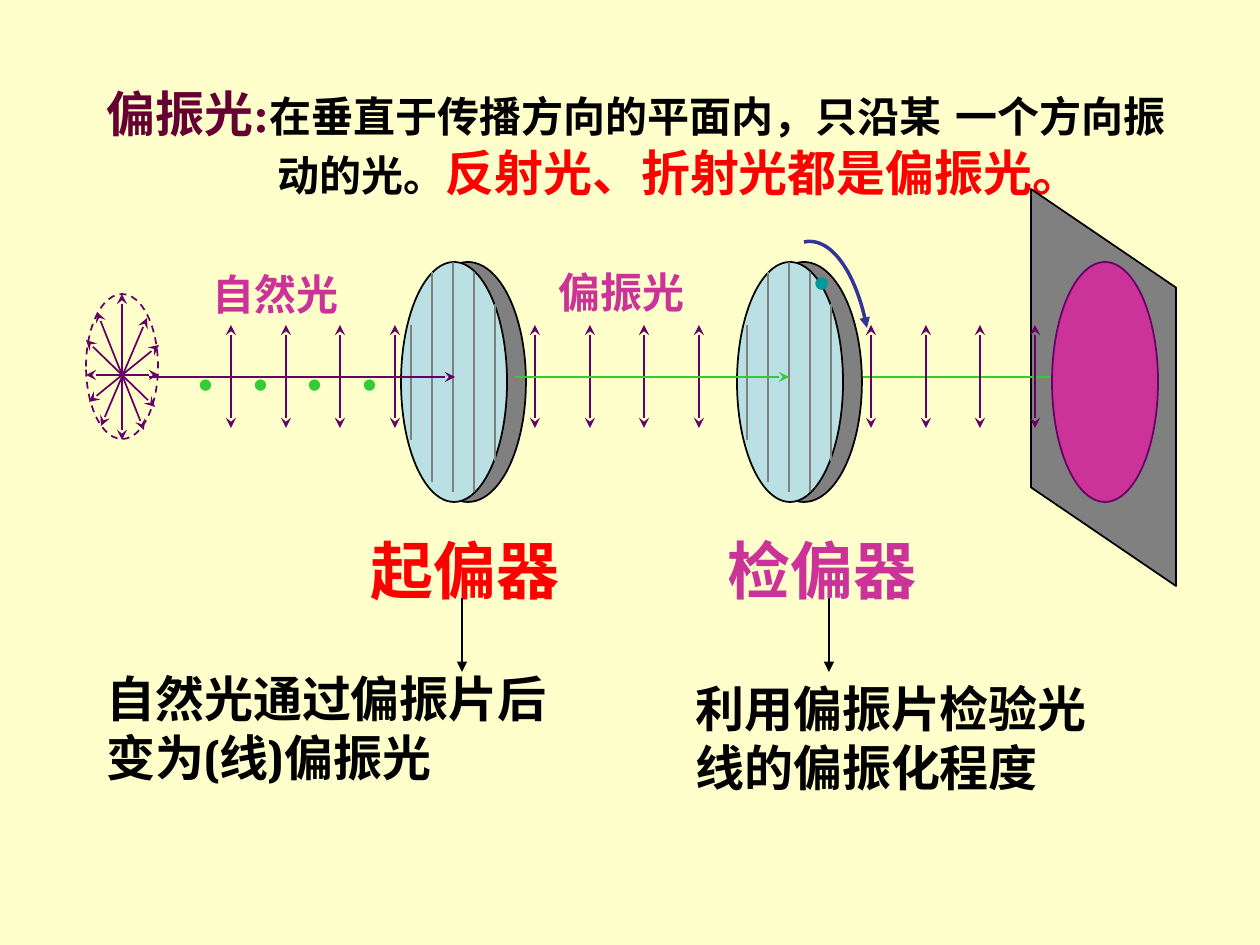
from pptx import Presentation
from pptx.dml.color import RGBColor
from pptx.enum.dml import MSO_LINE
from pptx.enum.shapes import MSO_CONNECTOR, MSO_SHAPE
from pptx.enum.text import MSO_AUTO_SIZE
from pptx.oxml.ns import qn
from pptx.util import Emu, Pt
from lxml import etree

SCALE = 914400 / 126
ELLIPSE, PARALLELOGRAM = MSO_SHAPE.OVAL, MSO_SHAPE.PARALLELOGRAM
STRAIGHT, DASH = MSO_CONNECTOR.STRAIGHT, MSO_LINE.DASH
GROW = MSO_AUTO_SIZE.SHAPE_TO_FIT_TEXT
SANS, SERIF, ROMAN = "Noto Sans CJK SC", "TeX Gyre Bonum", "Times New Roman"
COLORS = {
    "paper": "FFFFCC", "black": "000000", "gray": "808080", "glass": "BBE0E3",
    "purple": "660066", "maroon": "660033", "red": "FF0000", "pink": "CC3399",
    "green": "33CC33", "teal": "009999", "navy": "333399",
}
WAVE_OFFSETS = [round(i * 164 / 3) for i in range(4)]
GRATING = [(325, 440), (272, 482), (262, 492), (272, 492), (304, 461)]
RAYS = [
    (122, 294, 122, 440), (147, 318, 101, 426), (86, 340, 155, 407),
    (86, 375, 159, 375), (97, 312, 144, 430), (89, 402, 159, 345),
]


def px(value):
    """Convert pixels to EMU."""
    return Emu(round(value * SCALE))


def rgb(name):
    """Look up a palette colour."""
    return RGBColor.from_string(COLORS[name])


def style_line(line, color, weight, head=None, tail=None):
    """Set colour, weight and arrowheads of a line."""
    line.color.rgb = rgb(color)
    line.width = Pt(weight)
    for tag, arrow in (("a:headEnd", head), ("a:tailEnd", tail)):
        if arrow:
            etree.SubElement(line._get_or_add_ln(), qn(tag), type=arrow)


def add_line(shapes, x1, y1, x2, y2, color, weight=1, head=None, tail=None):
    """Draw a straight line, optionally with arrowheads."""
    line = shapes.add_connector(STRAIGHT, px(x1), px(y1), px(x2), px(y2))
    style_line(line.line, color, weight, head, tail)
    etree.SubElement(line._element.spPr, qn("a:effectLst"))


def add_figure(shapes, preset, x, y, w, h, fill=None, outline="black"):
    """Draw a preset shape with a thin outline."""
    figure = shapes.add_shape(preset, px(x), px(y), px(w), px(h))
    figure.shadow.inherit = False
    if fill:
        figure.fill.solid()
        figure.fill.fore_color.rgb = rgb(fill)
    else:
        figure.fill.background()
    style_line(figure.line, outline, 1)
    return figure


def add_run(paragraph, text, size=28, color="black", font=SERIF):
    """Append a bold run."""
    run = paragraph.add_run()
    run.text = text
    run.font.size = Pt(size)
    run.font.bold = True
    run.font.name = font
    run.font.color.rgb = rgb(color)
    etree.SubElement(run._r.get_or_add_rPr(), qn("a:ea"), typeface=SERIF)


def add_text(shapes, x, y, w, h, *runs, wrap=False, hanging=0):
    """Add a text box from (text, format) runs."""
    box = shapes.add_textbox(px(x), px(y), px(w), px(h))
    frame = box.text_frame
    frame.word_wrap = wrap
    frame.auto_size = GROW
    paragraph = frame.paragraphs[0]
    if hanging:
        properties = paragraph._p.get_or_add_pPr()
        properties.set("marL", str(px(hanging)))
        properties.set("indent", str(-px(hanging)))
    for text, fmt in runs:
        add_run(paragraph, text, **fmt)


def add_plate(shapes, x):
    """Draw a polarizing plate with its grating."""
    add_figure(shapes, ELLIPSE, x + 9, 262, 116, 240, "gray")
    add_figure(shapes, ELLIPSE, x, 262, 106, 240, "glass")
    for i, (top, bottom) in enumerate(GRATING):
        slit = x + 10 + 21 * i
        add_line(shapes, slit, top, slit, bottom, "gray")


def add_waves(shapes, x):
    """Draw a row of vertical vibration arrows."""
    for offset in WAVE_OFFSETS:
        add_line(shapes, x + offset, 325, x + offset, 428, "purple", head="stealth", tail="stealth")


def add_source(shapes):
    """Draw the natural light source with vibrations in all directions."""
    group = shapes.add_group_shape()
    rim = add_figure(group.shapes, ELLIPSE, 86, 294, 72, 145, outline="purple")
    rim.line.dash_style = DASH
    for ray in RAYS:
        add_line(group.shapes, *ray, "purple", head="stealth", tail="stealth")


def add_rotation(shapes):
    """Draw the curved arrow that shows the analyzer turning."""
    controls = [(804, 242), (832, 236), (857, 275), (867, 328)]
    points = []
    for step in range(25):
        t = step / 24
        weights = ((1 - t) ** 3, 3 * t * (1 - t) ** 2, 3 * t * t * (1 - t), t ** 3)
        points.append(tuple(px(sum(w * c[axis] for w, c in zip(weights, controls)))
                            for axis in (0, 1)))
    builder = shapes.build_freeform(*points[0])
    builder.add_line_segments(points[1:], close=False)
    curve = builder.convert_to_shape()
    curve.shadow.inherit = False
    curve.fill.background()
    style_line(curve.line, "navy", 2, tail="triangle")


def main():
    """Build the polarized light slide."""
    deck = Presentation()
    deck.slide_width, deck.slide_height = px(1260), px(945)
    slide = deck.slides.add_slide(deck.slide_layouts[6])
    slide.background.fill.solid()
    slide.background.fill.fore_color.rgb = rgb("paper")
    shapes = slide.shapes

    add_text(
        shapes, 94, 77, 1103, 131,
        ("偏振光:", dict(color="maroon", font=ROMAN)),
        ("在垂直于传播方向的平面内，只沿某 一个方向振动的光。", dict(size=24, font=SANS)),
        ("反射光、折射光都是偏振光。", dict(color="red", font=SANS)),
        wrap=True, hanging=171)

    screen = add_figure(shapes, PARALLELOGRAM, 905, 315, 397, 145, "gray")
    screen.rotation = 90
    screen.adjustments[0] = 0.68
    add_line(shapes, 852, 377, 1104, 377, "green", tail="stealth")
    add_source(shapes)
    for start in (231, 535, 871):
        add_waves(shapes, start)
    for offset in WAVE_OFFSETS:
        add_text(shapes, 183 + offset, 321, 47, 88, (".", dict(size=36, color="green")))
    add_plate(shapes, 401)
    add_line(shapes, 149, 377, 455, 377, "purple", tail="stealth")
    add_rotation(shapes)
    add_plate(shapes, 737)
    add_text(shapes, 798, 213, 49, 97, (".", dict(size=40, color="teal")))
    add_line(shapes, 515, 377, 789, 377, "green", tail="stealth")
    add_figure(shapes, ELLIPSE, 1052, 262, 106, 240, "pink", "purple")

    for text, x, y, w, h, size, color in (
        ("起偏器", 358, 525, 214, 88, 36, "red"),
        ("检偏器", 715, 525, 214, 88, 36, "pink"),
        ("自然光", 200, 262, 151, 63, 24, "pink"),
        ("偏振光", 546, 260, 151, 63, 24, "pink"),
    ):
        add_text(shapes, x, y, w, h, (text, dict(size=size, color=color, font=SANS)))

    for text, x, y, w, pointer in (
        ("自然光通过偏振片后变为(线)偏振光", 94, 662, 504, 462),
        ("利用偏振片检验光线的偏振化程度", 683, 672, 420, 829),
    ):
        add_text(shapes, x, y, w, 131, (text, {}), wrap=True)
        add_line(shapes, pointer, 598, pointer, 672, "black", 0.75, tail="triangle")

    deck.save("out.pptx")


if __name__ == "__main__":
    main()
